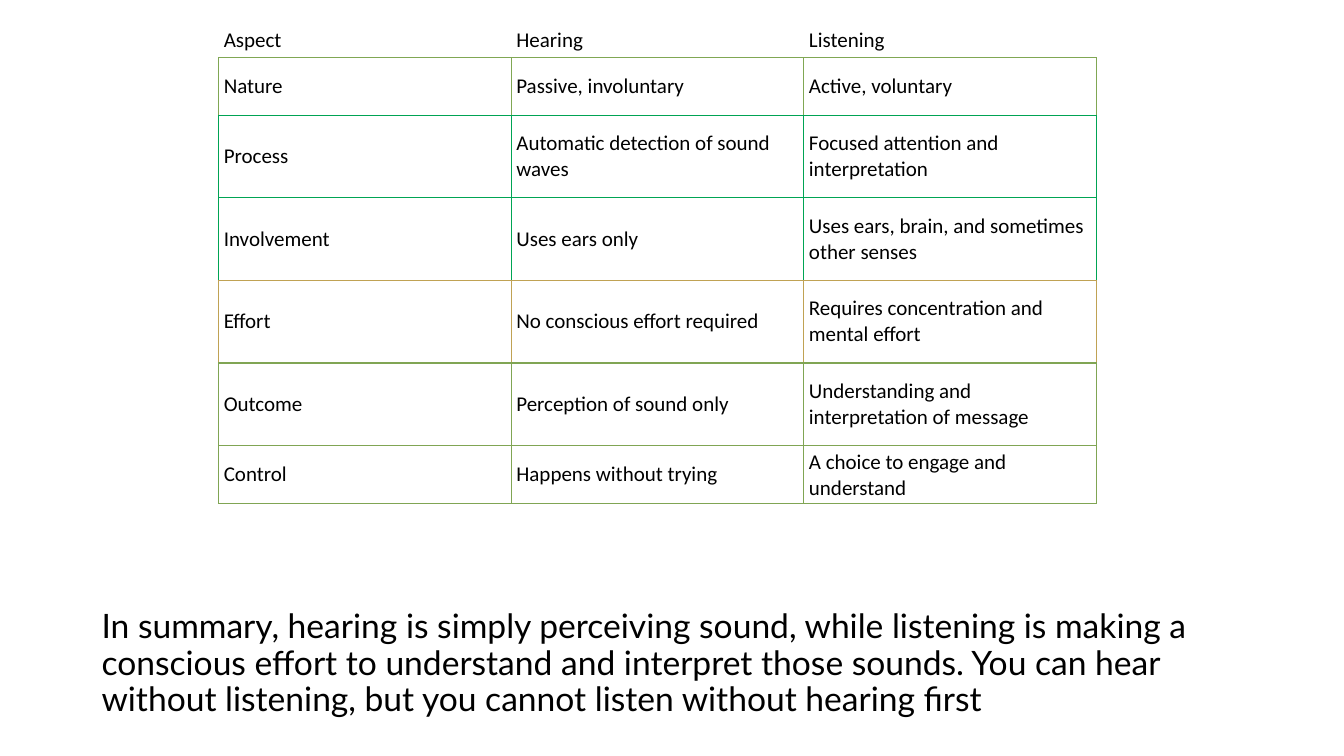
from lxml.etree import SubElement as Sub
from pptx import Presentation
from pptx.dml.color import RGBColor as RGB
from pptx.enum.text import MSO_ANCHOR as Anchor
from pptx.oxml.ns import qn
from pptx.util import Cm, Pt

BLACK = RGB(0x00, 0x00, 0x00)
LIME = RGB(0x80, 0xA7, 0x54)
GREEN = RGB(0x00, 0xA3, 0x54)
JADE = RGB(0x00, 0xA4, 0x54)
GOLD = RGB(0xC0, 0xA2, 0x54)
OLIVE = RGB(0x80, 0xA5, 0x54)

# Row height in cm, edge colour, texts
ROWS = [
    (0.89, None, ("Aspect", "Hearing", "Listening")),
    (1.45, LIME, ("Nature", "Passive, involuntary", "Active, voluntary")),
    (2.08, GREEN, ("Process", "Automatic detection of sound waves",
                   "Focused attention and interpretation")),
    (2.08, JADE, ("Involvement", "Uses ears only",
                  "Uses ears, brain, and sometimes other senses")),
    (2.08, GOLD, ("Effort", "No conscious effort required",
                  "Requires concentration and mental effort")),
    (2.08, OLIVE, ("Outcome", "Perception of sound only",
                   "Understanding and interpretation of message")),
    (1.45, OLIVE, ("Control", "Happens without trying",
                   "A choice to engage and understand")),
]
SUMMARY = ("In summary, hearing is simply perceiving sound, while listening is "
           "making a conscious effort to understand and interpret those sounds. "
           "You can hear without listening, but you cannot listen without "
           "hearing first")


class Page:
    def __init__(self, slide):
        self.slide = slide

    def style(self, para, font, size):
        para.font.name = font
        para.font.size = Pt(size)
        para.font.color.rgb = BLACK

    def edge(self, cell, side, color):
        """Draw one border of a cell; side is L, R, T or B."""
        props = cell._tc.get_or_add_tcPr()
        line = Sub(props, qn(f"a:ln{side}"), w=str(Pt(1)))
        fill = Sub(line, qn("a:solidFill"))
        Sub(fill, qn("a:srgbClr"), val=str(color))

    def cell(self, cell, text, color, below):
        cell.text = text
        self.style(cell.text_frame.paragraphs[0], "Calibri", 15)
        cell.margin_left = cell.margin_right = Cm(0.13)
        cell.margin_top = cell.margin_bottom = Cm(0.1 if color else 0.13)
        cell.vertical_anchor = Anchor.MIDDLE if color else Anchor.TOP
        if color:
            for side in "LRT":
                self.edge(cell, side, color)
        self.edge(cell, "B", below)
        cell.fill.background()

    def table(self, left, top, width, rows):
        cols = len(rows[0][2])
        tall = sum(row[0] for row in rows)
        table = self.slide.shapes.add_table(
            len(rows), cols, Cm(left), Cm(top), Cm(width), Cm(tall)).table
        table.first_row = table.horz_banding = False
        for r, (height, color, texts) in enumerate(rows):
            table.rows[r].height = Cm(height)
            below = rows[min(r + 1, len(rows) - 1)][1]
            for c, text in enumerate(texts):
                self.cell(table.cell(r, c), text, color, below)

    def text(self, left, top, width, height, text):
        box = self.slide.shapes.add_textbox(
            Cm(left), Cm(top), Cm(width), Cm(height))
        frame = box.text_frame
        frame.word_wrap = True
        frame.margin_top = 0
        frame.text = text
        para = frame.paragraphs[0]
        para.line_spacing = 0.9
        self.style(para, "Lato", 24)


def main():
    deck = Presentation()
    deck.slide_width, deck.slide_height = Cm(33.87), Cm(19.05)
    page = Page(deck.slides.add_slide(deck.slide_layouts[6]))
    page.text(2.31, 15.37, 29.21, 3.68, SUMMARY)
    page.table(5.51, 0.56, 22.12, ROWS)
    deck.save("out.pptx")


if __name__ == "__main__":
    main()
